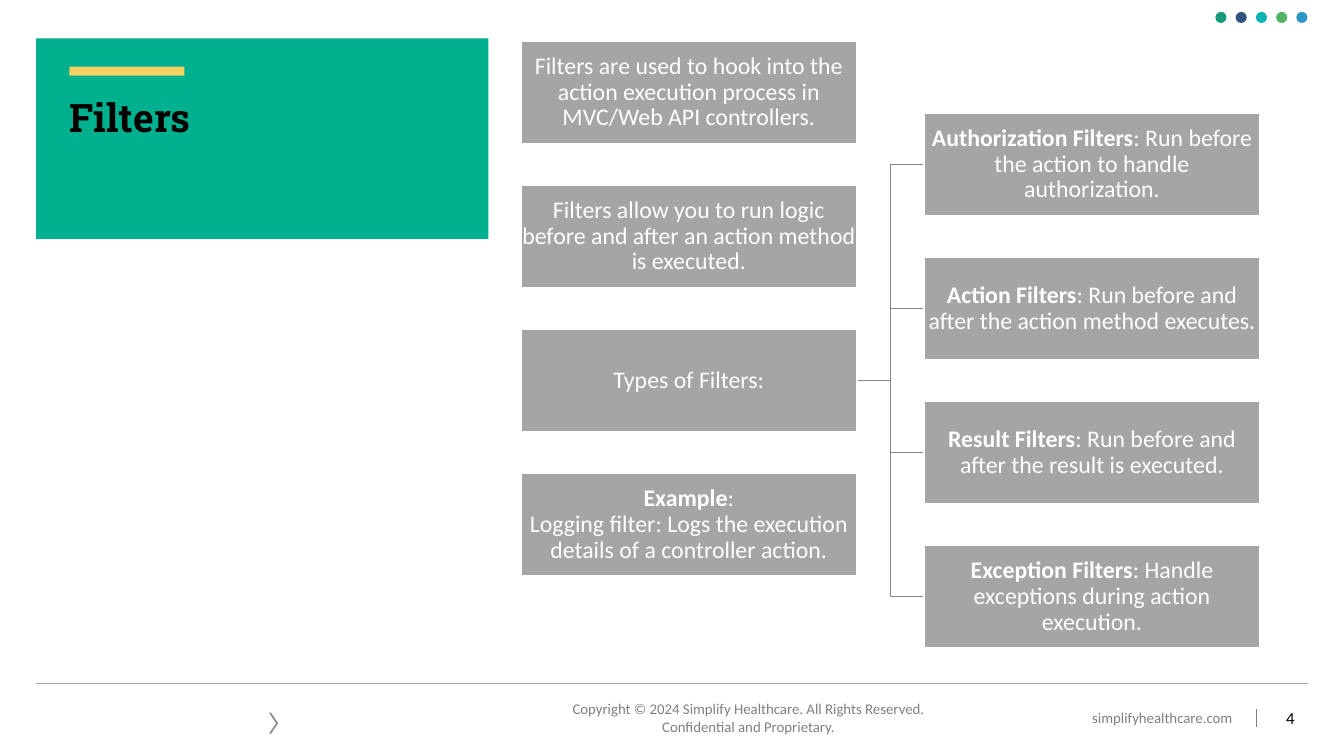
from lxml import etree
from pptx import Presentation
from pptx.dml.color import RGBColor
from pptx.enum import shapes, text
from pptx.oxml.ns import qn
from pptx.util import Cm, Pt

# Content: each box is a bold lead and the rest of its text
HEADING = "Filters"
TOPICS = [
    ("", "Filters are used to hook into the action execution process in MVC/Web API controllers."),
    ("", "Filters allow you to run logic before and after an action method is executed."),
    ("", "Types of Filters:"),
    ("Example", ":\vLogging filter: Logs the execution details of a controller action."),
]
PARENT_TOPIC = 2
FILTER_TYPES = [
    ("Authorization Filters", ": Run before the action to handle authorization."),
    ("Action Filters", ": Run before and after the action method executes."),
    ("Result Filters", ": Run before and after the result is executed."),
    ("Exception Filters", ": Handle exceptions during action execution."),
]
COPYRIGHT = "Copyright © 2024 Simplify Healthcare. All Rights Reserved.\vConfidential and Proprietary."
WEBSITE = "simplifyhealthcare.com"
PAGE_NUMBER = "4"

COLORS = {
    "panel": "00B08E", "accent": "F8D164", "box": "A5A5A5", "white": "FFFFFF",
    "black": "000000", "branch": "848484", "rule": "A6A6A6", "footer": "808080",
    "chevron": "8C8C8C",
}
DOT_COLORS = ["16987A", "2F5480", "0DB3B2", "52B463", "2D97C6"]
BODY_FONT, TITLE_FONT = "Calibri", "Roboto Slab"

# Box grid in cm: the right column sits half a step lower
BOX_W, BOX_H, STEP = 8.46, 2.58, 3.63
TOPIC_X, TYPE_X = 13.13, 23.29
TOPIC_Y = 1.04
TYPE_Y = TOPIC_Y + STEP / 2

deck = Presentation()
deck.slide_width, deck.slide_height = Cm(33.87), Cm(19.05)
slide = deck.slides.add_slide(deck.slide_layouts[5])
kinds = shapes.MSO_SHAPE
links = shapes.MSO_CONNECTOR
align = text.PP_ALIGN


def rgb(value):
    return RGBColor.from_string(value)


def style(run, size, color, bold=False, font=BODY_FONT):
    run.font.name, run.font.size, run.font.bold = font, Pt(size), bold
    run.font.color.rgb = rgb(color)


def set_margins(frame, x, y):
    frame.margin_left = frame.margin_right = Cm(x)
    frame.margin_top = frame.margin_bottom = Cm(y)


def add_block(kind, x, y, w, h, color):
    block = slide.shapes.add_shape(kind, Cm(x), Cm(y), Cm(w), Cm(h))
    block.shadow.inherit = False
    block.fill.solid()
    block.fill.fore_color.rgb = rgb(color)
    block.line.fill.background()
    return block


def add_link(kind, x1, y1, x2, y2, color):
    link = slide.shapes.add_connector(kind, Cm(x1), Cm(y1), Cm(x2), Cm(y2))
    link.line.color.rgb = rgb(color)
    link.line.width = Pt(1)
    etree.SubElement(link._element.spPr, qn("a:effectLst"))


def add_label(words, x, y, w, h, size, color, alignment):
    label = slide.shapes.add_textbox(Cm(x), Cm(y), Cm(w), Cm(h))
    frame = label.text_frame
    frame.word_wrap = True
    frame.text = words
    frame.paragraphs[0].alignment = alignment
    for run in frame.paragraphs[0].runs:
        style(run, size, color)
    return frame


def add_box(x, y, lead, rest):
    box = add_block(kinds.RECTANGLE, x, y, BOX_W, BOX_H, COLORS["box"])
    box.line.color.rgb = rgb(COLORS["white"])
    box.line.width = Pt(1.5)
    frame = box.text_frame
    frame.word_wrap = True
    frame.vertical_anchor = text.MSO_ANCHOR.MIDDLE
    set_margins(frame, 0.03, 0.03)
    frame.text = lead + rest
    paragraph = frame.paragraphs[0]
    paragraph.alignment = align.CENTER
    paragraph.line_spacing = 0.9
    if lead:
        paragraph.text = rest
        lead_run = paragraph.add_run()
        lead_run.text = lead
        paragraph._p.insert(paragraph._p.index(paragraph.runs[0]._r), lead_run._r)
    for run in paragraph.runs:
        style(run, 17, COLORS["white"], bold=run.text == lead)


# Footer
add_block(kinds.CHEVRON, 6.78, 17.96, 0.23, 0.53, COLORS["chevron"]).adjustments[0] = 0.77
add_label(COPYRIGHT, 10.21, 17.5, 17.3, 1.17, 10.6, COLORS["footer"], align.CENTER)
add_label(WEBSITE, 27.03, 17.73, 4.52, 0.71, 10.6, COLORS["footer"], align.CENTER)
add_link(links.STRAIGHT, 0.91, 17.23, 32.97, 17.23, COLORS["rule"])
page = add_label(PAGE_NUMBER, 31.88, 17.58, 1.57, 1.02, 12, COLORS["black"], align.LEFT)
page.vertical_anchor = text.MSO_ANCHOR.MIDDLE
set_margins(page, 0.53, 0.28)
add_link(links.STRAIGHT, 31.67, 17.86, 31.67, 18.31, COLORS["footer"])

# Title panel and corner dots
add_block(kinds.RECTANGLE, 0.91, 0.97, 11.4, 5.05, COLORS["panel"])
add_block(kinds.RECTANGLE, 1.75, 1.68, 2.9, 0.23, COLORS["accent"])
for i, dot_color in enumerate(DOT_COLORS):
    add_block(kinds.OVAL, 30.63 + i * 0.51, 0.3, 0.28, 0.28, dot_color)

# Title, brought in front of its panel
title = slide.shapes.title
slide.shapes._spTree.append(title._element)
title.left, title.top, title.width, title.height = Cm(1.75), Cm(2.34), Cm(9.68), Cm(2.46)
title.text_frame.text = HEADING
title.text_frame.vertical_anchor = text.MSO_ANCHOR.TOP
set_margins(title.text_frame, 0, 0)
title.text_frame.paragraphs[0].alignment = align.LEFT
style(title.text_frame.paragraphs[0].runs[0], 28, COLORS["black"], True, TITLE_FONT)

# Branches from the parent topic to the filter types
parent_y = TOPIC_Y + PARENT_TOPIC * STEP + BOX_H / 2
for i in range(len(FILTER_TYPES)):
    type_y = TYPE_Y + i * STEP + BOX_H / 2
    add_link(links.ELBOW, TOPIC_X + BOX_W, parent_y, TYPE_X, type_y, COLORS["branch"])

# Boxes
for x, top, entries in ((TOPIC_X, TOPIC_Y, TOPICS), (TYPE_X, TYPE_Y, FILTER_TYPES)):
    for i, (lead, rest) in enumerate(entries):
        add_box(x, top + i * STEP, lead, rest)

deck.save("out.pptx")
